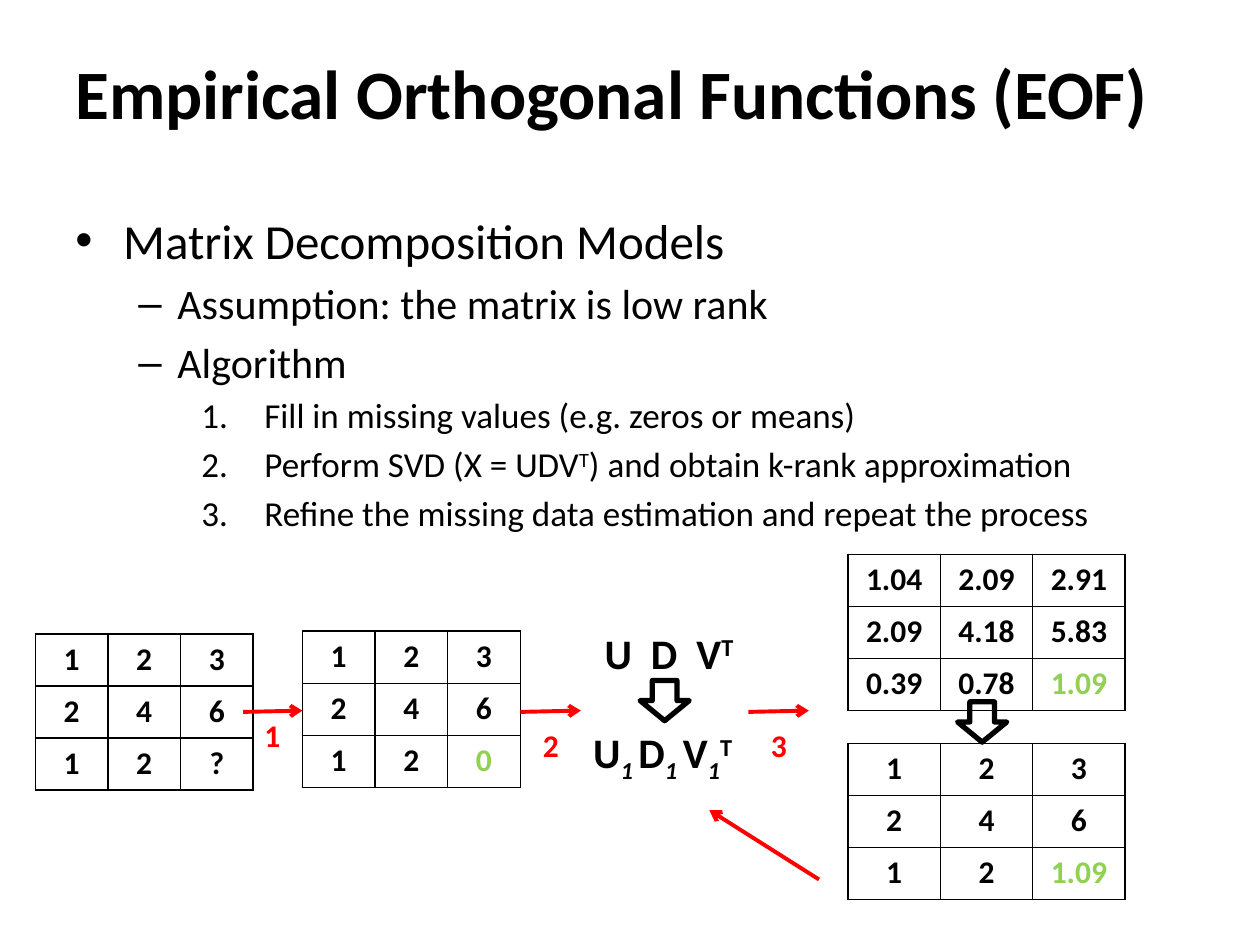
import pptx
import pptx.util
import pptx.dml.color
import pptx.enum.text
import pptx.enum.shapes
import pptx.oxml
import pptx.oxml.ns
import lxml.etree

Inches = pptx.util.Inches
Pt = pptx.util.Pt
RGBColor = pptx.dml.color.RGBColor
BLACK = RGBColor(0, 0, 0)
RED = RGBColor(255, 0, 0)
GREEN = RGBColor(146, 208, 80)
qn = pptx.oxml.ns.qn
align = pptx.enum.text.PP_ALIGN
anchor = pptx.enum.text.MSO_ANCHOR
kinds = pptx.enum.shapes

deck = pptx.Presentation()
deck.slide_width, deck.slide_height = Inches(10), Inches(7.5)
slide = deck.slides.add_slide(deck.slide_layouts[6])
shapes = slide.shapes


def write(para, text, size, color=BLACK, bold=True, base=0, italic=False):
    run = para.add_run()
    run.text = text
    look = {"name": "Calibri", "size": Pt(size), "bold": bold, "italic": italic}
    for key, value in look.items():
        setattr(run.font, key, value)
    run.font.color.rgb = color
    if base:
        run._r.get_or_add_rPr().set("baseline", str(base * 1000))


def frame(left, top, width, height, wrap=False):
    box = shapes.add_textbox(Inches(left), Inches(top), Inches(width), Inches(height))
    box.text_frame.word_wrap = wrap
    return box.text_frame


title = frame(0.5, 0.3, 9, 0.85, True)
title.vertical_anchor = anchor.MIDDLE
write(title.paragraphs[0], "Empirical Orthogonal Functions (EOF)", 39.6)

levels = [
    (28, 0.38, -0.38, "buChar", {"char": "•"}),
    (24, 0.81, -0.31, "buChar", {"char": "–"}),
    (20, 1.5, -0.5, "buAutoNum", {"type": "arabicPeriod"}),
]
points = [
    (0, [("Matrix Decomposition Models", 0)]),
    (1, [("Assumption: the matrix is low rank", 0)]),
    (1, [("Algorithm", 0)]),
    (2, [("Fill in missing values (e.g. zeros or means)", 0)]),
    (2, [("Perform SVD (X = UDV", 0), ("T", 30), (") and obtain k-rank approximation", 0)]),
    (2, [("Refine the missing data estimation and repeat the process", 0)]),
]
body = frame(0.5, 1.62, 9, 5.08, True)
for i, (level, parts) in enumerate(points):
    para = body.add_paragraph() if i else body.paragraphs[0]
    para.level = level
    size, left, first, tag, attrs = levels[level]
    props = para._p.get_or_add_pPr()
    props.set("marL", str(Inches(left)))
    props.set("indent", str(Inches(first)))
    space = lxml.etree.SubElement(props, qn("a:spcBef"))
    lxml.etree.SubElement(space, qn("a:spcPct"), val="20000")
    lxml.etree.SubElement(props, qn("a:buFont"), typeface="Arial")
    lxml.etree.SubElement(props, qn(f"a:{tag}"), attrs)
    for text, base in parts:
        write(para, text, size, bold=False, base=base)

grids = [
    (0.28, 5.03, 1.73, "1 2 3 2 4 6 1 2 ?", False),
    (2.4, 5.01, 1.73, "1 2 3 2 4 6 1 2 0", True),
    (6.73, 4.4, 2.2, "1.04 2.09 2.91 2.09 4.18 5.83 0.39 0.78 1.09", True),
    (6.73, 5.9, 2.2, "1 2 3 2 4 6 1 2 1.09", True),
]
for left, top, width, data, filled in grids:
    table = shapes.add_table(3, 3, Inches(left), Inches(top), Inches(width), Inches(1.24)).table
    for key in ("first_row", "horz_banding"):
        setattr(table, key, False)
    for i, text in enumerate(data.split()):
        cell = table.cell(i // 3, i % 3)
        props = cell._tc.get_or_add_tcPr()
        for side in "LRTB":
            edge = lxml.etree.SubElement(props, qn(f"a:ln{side}"), w=str(Pt(1)))
            fill = lxml.etree.SubElement(edge, qn("a:solidFill"))
            lxml.etree.SubElement(fill, qn("a:srgbClr"), val=str(BLACK))
        cell.fill.background()
        para = cell.text_frame.paragraphs[0]
        para.alignment = align.CENTER
        write(para, text, 18, GREEN if filled and i == 8 else BLACK)

arrows = [
    (1.93, 5.65, 2.4, 5.64),
    (4.13, 5.65, 4.61, 5.64),
    (5.94, 5.65, 6.42, 5.64),
    (6.5, 6.98, 5.63, 6.43),
]
for ends in arrows:
    line = shapes.add_connector(kinds.MSO_CONNECTOR.STRAIGHT, *map(Inches, ends))
    line.line.color.rgb = RED
    line.line.width = Pt(2.25)
    lxml.etree.SubElement(line.line._get_or_add_ln(), qn("a:tailEnd"), type="arrow")
    lxml.etree.SubElement(line._element.spPr, qn("a:effectLst"))

for text, left, top in [("1", 2, 5.63), ("2", 4.21, 5.71), ("3", 6.02, 5.71)]:
    write(frame(left, top, 0.33, 0.4).paragraphs[0], text, 18, RED)

full = frame(4.7, 4.93, 1.25, 0.5).paragraphs[0]
write(full, "U  D  V", 24)
write(full, "T", 24, base=30)

rank = frame(4.61, 5.72, 1.44, 0.5).paragraphs[0]
for text, sub in [("U", "1 "), ("D", "1 "), ("V", "1")]:
    write(rank, text, 24)
    write(rank, sub, 24, base=-25, italic=True)
write(rank, "T", 24, base=30)

for left, top in [(5.08, 5.4), (7.6, 5.57)]:
    down = shapes.add_shape(kinds.MSO_SHAPE.DOWN_ARROW, Inches(left), Inches(top), Inches(0.39), Inches(0.32))
    down.shadow.inherit = False
    down.fill.background()
    down.line.color.rgb = BLACK
    down.line.width = Pt(3)

deck.save("out.pptx")
